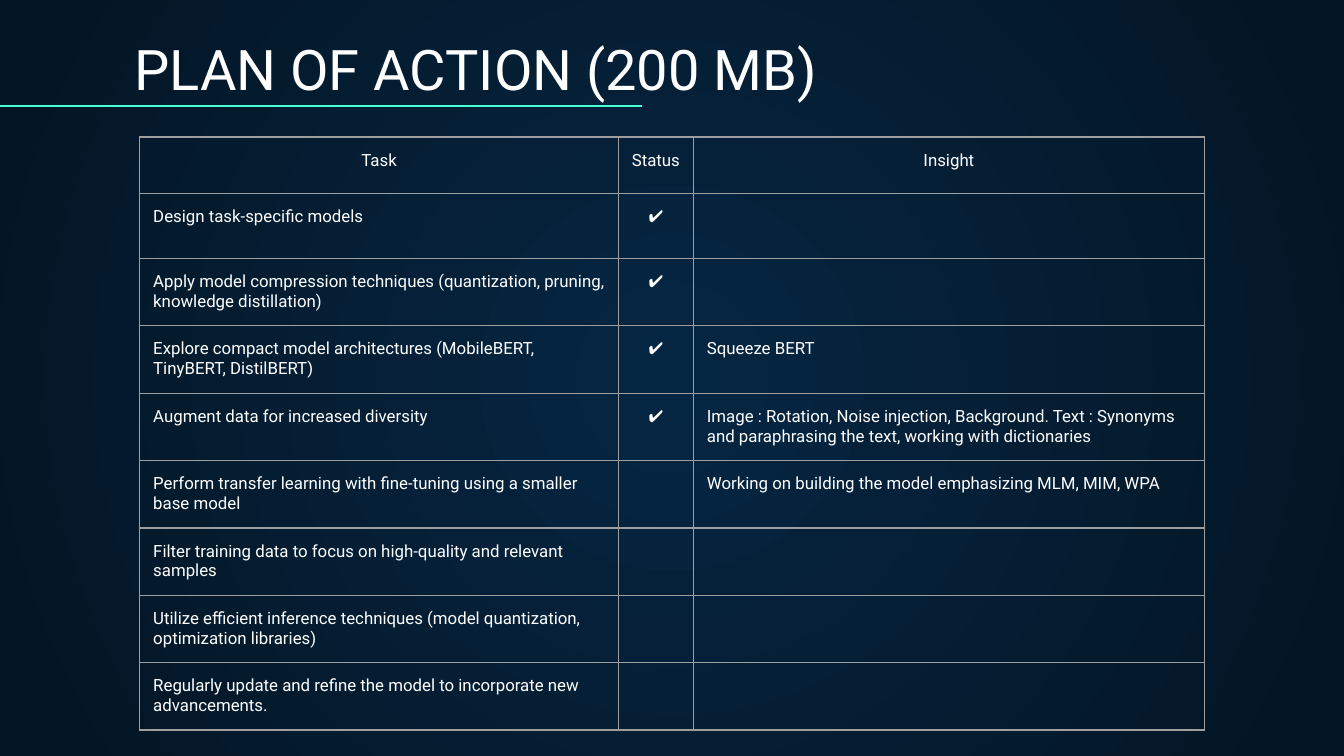
from lxml import etree
from pptx import Presentation
from pptx.dml.color import RGBColor
from pptx.enum.shapes import MSO_CONNECTOR
from pptx.enum.text import MSO_ANCHOR, PP_ALIGN
from pptx.oxml import parse_xml
from pptx.oxml.ns import nsdecls, qn
from pptx.util import Inches, Pt

TITLE = "PLAN OF ACTION (200 MB)"
HEADERS = ("Task", "Status", "Insight")
DONE = "✔"
TASKS = [
    ("Design task-specific models", DONE, ""),
    ("Apply model compression techniques (quantization, pruning, knowledge distillation)", DONE, ""),
    ("Explore compact model architectures (MobileBERT, TinyBERT, DistilBERT)", DONE, "Squeeze BERT"),
    ("Augment data for increased diversity", DONE,
     "Image : Rotation, Noise injection, Background. Text : Synonyms and paraphrasing the text, "
     "working with dictionaries"),
    ("Perform transfer learning with fine-tuning using a smaller base model", "",
     "Working on building the model emphasizing MLM, MIM, WPA"),
    ("Filter training data to focus on high-quality and relevant samples", "", ""),
    ("Utilize efficient inference techniques (model quantization, optimization libraries)", "", ""),
    ("Regularly update and refine the model to incorporate new advancements.", "", ""),
]

THEME = {
    "font": "Roboto", "text": "FFFFFF", "accent": "48FFD5", "border": "9E9E9E",
    "glow": "052643", "edge": "041523",
    "title_size": 30, "table_size": 9, "empty_size": 17, "line_width": 0.75,
}
SLIDE_WIDTH = Inches(10)
SLIDE_HEIGHT = SLIDE_WIDTH * 9 // 16
COLUMN_WIDTHS = (3.56, 0.56, 3.8)
ROW_HEIGHT = 0.42
INSET = Inches(0.1)
MARGINS = {f"margin_{side}": INSET for side in ("left", "top", "right", "bottom")}


def set_attributes(target, values):
    for name, value in values.items():
        setattr(target, name, value)


def write_text(paragraph, text, size, alignment=PP_ALIGN.LEFT):
    paragraph.alignment = alignment
    run = paragraph.add_run()
    run.text = text
    set_attributes(run.font, {"name": THEME["font"], "size": Pt(size), "bold": False})
    run.font.color.rgb = RGBColor.from_string(THEME["text"])


def size_empty_cell(cell):
    """Give an empty cell the type size that sets its least height."""
    paragraph = cell.text_frame.paragraphs[0]._p
    paragraph.append(parse_xml(
        f'<a:endParaRPr {nsdecls("a")} sz="{THEME["empty_size"] * 100}">'
        f'<a:latin typeface="{THEME["font"]}"/></a:endParaRPr>'))


def paint_background(slide):
    """Fill the slide with a circular gradient, brightest at its centre."""
    fill = slide.background.fill
    fill.solid()
    properties = slide.element.find(".//" + qn("p:bgPr"))
    gradient = parse_xml(
        f'<a:gradFill {nsdecls("a")} rotWithShape="1"><a:gsLst>'
        f'<a:gs pos="0"><a:srgbClr val="{THEME["glow"]}"/></a:gs>'
        f'<a:gs pos="100000"><a:srgbClr val="{THEME["edge"]}"/></a:gs></a:gsLst>'
        '<a:path path="circle"><a:fillToRect l="50000" t="50000" r="50000" b="50000"/></a:path>'
        '</a:gradFill>')
    properties.replace(properties.find(qn("a:solidFill")), gradient)


def add_title(slide):
    box = slide.shapes.add_textbox(Inches(0.9), Inches(0.2), Inches(6.09), Inches(0.66))
    frame = box.text_frame
    set_attributes(frame, {**MARGINS, "word_wrap": True, "vertical_anchor": MSO_ANCHOR.BOTTOM})
    write_text(frame.paragraphs[0], TITLE, THEME["title_size"])


def add_underline(slide):
    line = slide.shapes.add_connector(
        MSO_CONNECTOR.STRAIGHT, Inches(-0.08), Inches(0.79), Inches(4.78), Inches(0.79))
    line.line.color.rgb = RGBColor.from_string(THEME["accent"])
    line.line.width = Pt(THEME["line_width"])
    etree.SubElement(line.element.spPr, qn("a:effectLst"))


def outline_cell(cell):
    properties = cell._tc.get_or_add_tcPr()
    for position, side in enumerate("LRTB"):
        properties.insert(position, parse_xml(
            f'<a:ln{side} {nsdecls("a")} w="{Pt(THEME["line_width"])}"><a:solidFill>'
            f'<a:srgbClr val="{THEME["border"]}"/></a:solidFill></a:ln{side}>'))


def add_task_table(slide):
    rows = [HEADERS, *TASKS]
    table = slide.shapes.add_table(
        len(rows), len(HEADERS), Inches(1.04), Inches(1.02),
        Inches(sum(COLUMN_WIDTHS)), Inches(ROW_HEIGHT * len(rows))).table
    set_attributes(table, {"first_row": False, "horz_banding": False})
    for column, width in zip(table.columns, COLUMN_WIDTHS):
        column.width = Inches(width)
    for row_index, texts in enumerate(rows):
        table.rows[row_index].height = Inches(ROW_HEIGHT)
        for column_index, text in enumerate(texts):
            cell = table.cell(row_index, column_index)
            set_attributes(cell, MARGINS)
            cell.fill.background()
            outline_cell(cell)
            if text:
                centred = row_index == 0 or HEADERS[column_index] == "Status"
                write_text(cell.text_frame.paragraphs[0], text, THEME["table_size"],
                           PP_ALIGN.CENTER if centred else PP_ALIGN.LEFT)
            else:
                size_empty_cell(cell)


def main():
    presentation = Presentation()
    set_attributes(presentation, {"slide_width": SLIDE_WIDTH, "slide_height": SLIDE_HEIGHT})
    slide = presentation.slides.add_slide(presentation.slide_layouts[6])
    paint_background(slide)
    add_title(slide)
    add_underline(slide)
    add_task_table(slide)
    presentation.save("out.pptx")


if __name__ == "__main__":
    main()
